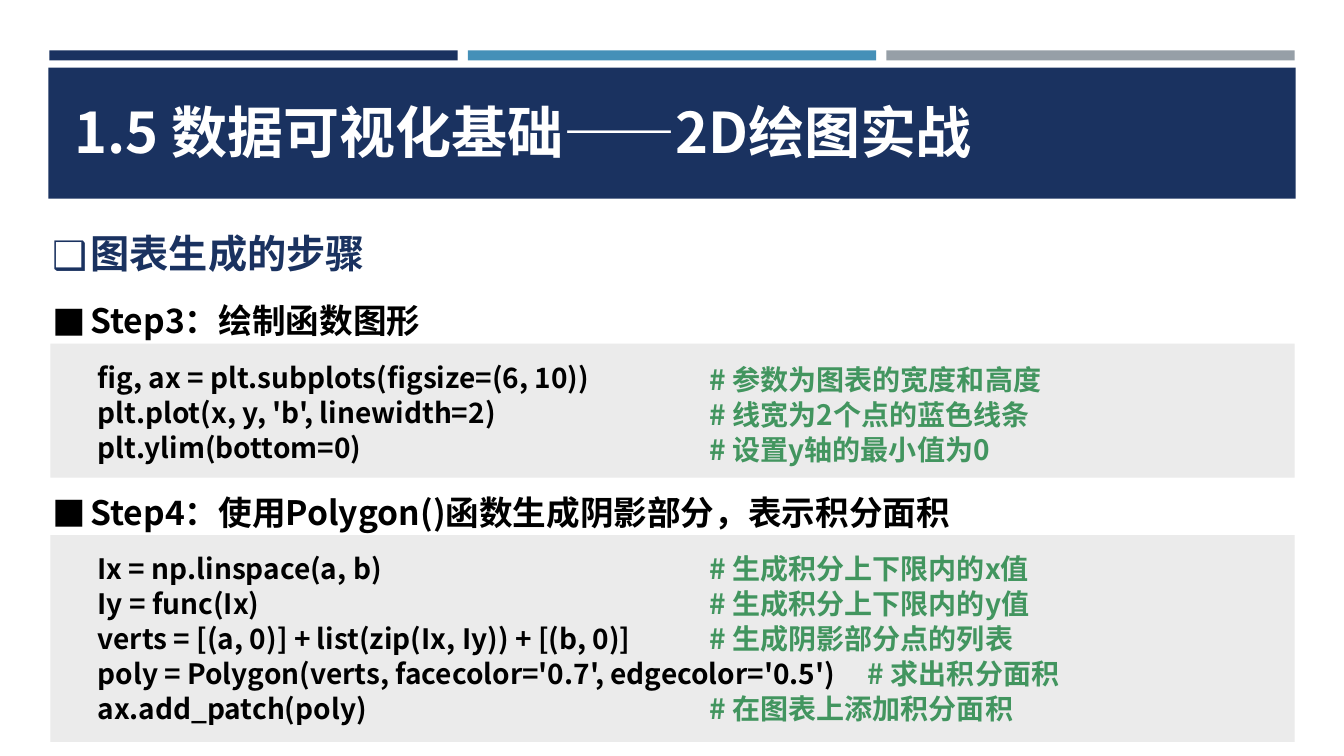
from dataclasses import dataclass

from pptx import Presentation
from pptx.dml.color import RGBColor
from pptx.enum.shapes import MSO_SHAPE
from pptx.enum.text import MSO_ANCHOR, MSO_AUTO_SIZE, PP_ALIGN
from pptx.oxml.ns import qn
from pptx.util import Inches, Pt


@dataclass(frozen=True)
class Theme:
    """Fonts, colours and type sizes of the slide."""
    font: str = "Noto Sans CJK SC"
    navy: str = "1A3260"
    blue: str = "4590B8"
    gray: str = "969FA7"
    panel: str = "EBEBEB"
    white: str = "FFFFFF"
    black: str = "000000"
    green: str = "42955F"
    title_size: int = 40
    heading_size: int = 28
    step_size: int = 24
    code_size: int = 20
    code_leading: int = 25


THEME = Theme()

STEP3_CODE = [
    "fig, ax = plt.subplots(figsize=(6, 10))",
    "plt.plot(x, y, 'b', linewidth=2)",
    "plt.ylim(bottom=0)",
]
STEP3_COMMENTS = ["# 参数为图表的宽度和高度", "# 线宽为2个点的蓝色线条", "# 设置y轴的最小值为0"]
STEP4_CODE = [
    "Ix = np.linspace(a, b)",
    "Iy = func(Ix)",
    "verts = [(a, 0)] + list(zip(Ix, Iy)) + [(b, 0)]",
    "poly = Polygon(verts, facecolor='0.7', edgecolor='0.5')",
    "ax.add_patch(poly)",
]
STEP4_COMMENTS = [
    "# 生成积分上下限内的x值",
    "# 生成积分上下限内的y值",
    "# 生成阴影部分点的列表",
    "# 求出积分面积",
    "# 在图表上添加积分面积",
]


def place(shape, left, top, width, height):
    """Set the position and size of a shape in inches."""
    shape.left, shape.top = Inches(left), Inches(top)
    shape.width, shape.height = Inches(width), Inches(height)


def format_runs(paragraph, size, color):
    """Give every run of a paragraph the bold slide font."""
    for run in paragraph.runs:
        run.font.size = Pt(size)
        run.font.bold = True
        run.font.name = THEME.font
        run.font.color.rgb = RGBColor.from_string(color)
        east_asian = run.font._element.makeelement(qn("a:ea"), {"typeface": THEME.font})
        run.font._element.find(qn("a:latin")).addnext(east_asian)


def set_indent(paragraph, margin, first_line=0.0):
    """Set the left margin and first-line indent of a paragraph."""
    properties = paragraph._p.get_or_add_pPr()
    properties.set("marL", str(Inches(margin)))
    properties.set("indent", str(Inches(first_line)))
    return properties


def add_bar(slide, left, top, width, height, color):
    """Add a plain filled rectangle."""
    bar = slide.shapes.add_shape(
        MSO_SHAPE.RECTANGLE, Inches(left), Inches(top), Inches(width), Inches(height))
    bar.shadow.inherit = False
    bar.fill.solid()
    bar.fill.fore_color.rgb = RGBColor.from_string(color)
    bar.line.fill.background()


def add_text_frame(slide, left, top, width, height):
    """Add a wrapping text box and return its text frame."""
    text_box = slide.shapes.add_textbox(
        Inches(left), Inches(top), Inches(width), Inches(height))
    text_box.text_frame.word_wrap = True
    return text_box.text_frame


def add_title(slide, text):
    """Move the title placeholder onto the banner and format it."""
    title = slide.shapes.title
    place(title, 0.64, 0.99, 12.27, 0.77)
    frame = title.text_frame
    frame.text = text
    frame.auto_size = MSO_AUTO_SIZE.NONE
    frame.vertical_anchor = MSO_ANCHOR.TOP
    paragraph = frame.paragraphs[0]
    paragraph.alignment = PP_ALIGN.LEFT
    paragraph.line_spacing = 0.9
    format_runs(paragraph, THEME.title_size, THEME.white)


def add_bullet_line(slide, text, bullet, top, height, size, color):
    """Add a one-line heading with a bullet."""
    frame = add_text_frame(slide, 0.42, top, 12.4, height)
    frame.text = text
    paragraph = frame.paragraphs[0]
    properties = set_indent(paragraph, 0.38, -0.38)
    properties.append(properties.makeelement(qn("a:buFont"), {"typeface": THEME.font}))
    properties.append(properties.makeelement(qn("a:buChar"), {"char": bullet}))
    paragraph.line_spacing = 1.5
    format_runs(paragraph, size, color)


def add_code_lines(slide, lines, left, top, width, color):
    """Add lines of code or comments with fixed leading and return the paragraphs."""
    height = len(lines) * THEME.code_leading / 72 + 0.1
    frame = add_text_frame(slide, left, top, width, height)
    frame.text = "\n".join(lines)
    for paragraph in frame.paragraphs:
        paragraph.line_spacing = Pt(THEME.code_leading)
        format_runs(paragraph, THEME.code_size, color)
    return frame.paragraphs


def add_step(slide, heading, top, panel_height, code, comments, comment_shift=0.0):
    """Add a step heading above a panel of code and comments."""
    add_bullet_line(slide, heading, "■", top, 0.64, THEME.step_size, THEME.black)
    panel_top = top + 0.68
    add_bar(slide, 0.5, panel_top, 12.34, panel_height, THEME.panel)
    code_top = panel_top + 0.1
    add_code_lines(slide, code, 0.87, code_top, 8.13, THEME.black)
    return add_code_lines(
        slide, comments, 6.94, code_top + comment_shift, 5.9, THEME.green)


def main():
    """Build the slide and save it."""
    presentation = Presentation()
    presentation.slide_width, presentation.slide_height = Inches(13.33), Inches(7.5)
    slide = presentation.slides.add_slide(presentation.slide_layouts[5])

    for index, color in enumerate((THEME.navy, THEME.blue, THEME.gray)):
        add_bar(slide, 0.49 + index * 4.15, 0.5, 4.05, 0.1, color)
    add_bar(slide, 0.48, 0.67, 12.37, 1.3, THEME.navy)
    title = slide.shapes.title
    slide.shapes._spTree.append(title._element)
    add_title(slide, "1.5 数据可视化基础——2D绘图实战")

    add_bullet_line(
        slide, "图表生成的步骤", "❑", 1.99, 0.72, THEME.heading_size, THEME.navy)
    add_step(slide, "Step3：绘制函数图形", 2.73, 1.33, STEP3_CODE, STEP3_COMMENTS, 0.02)
    comments = add_step(
        slide, "Step4：使用Polygon()函数生成阴影部分，表示积分面积",
        4.63, 2.05, STEP4_CODE, STEP4_COMMENTS)
    set_indent(comments[3], 1.57)

    presentation.save("out.pptx")


if __name__ == "__main__":
    main()
